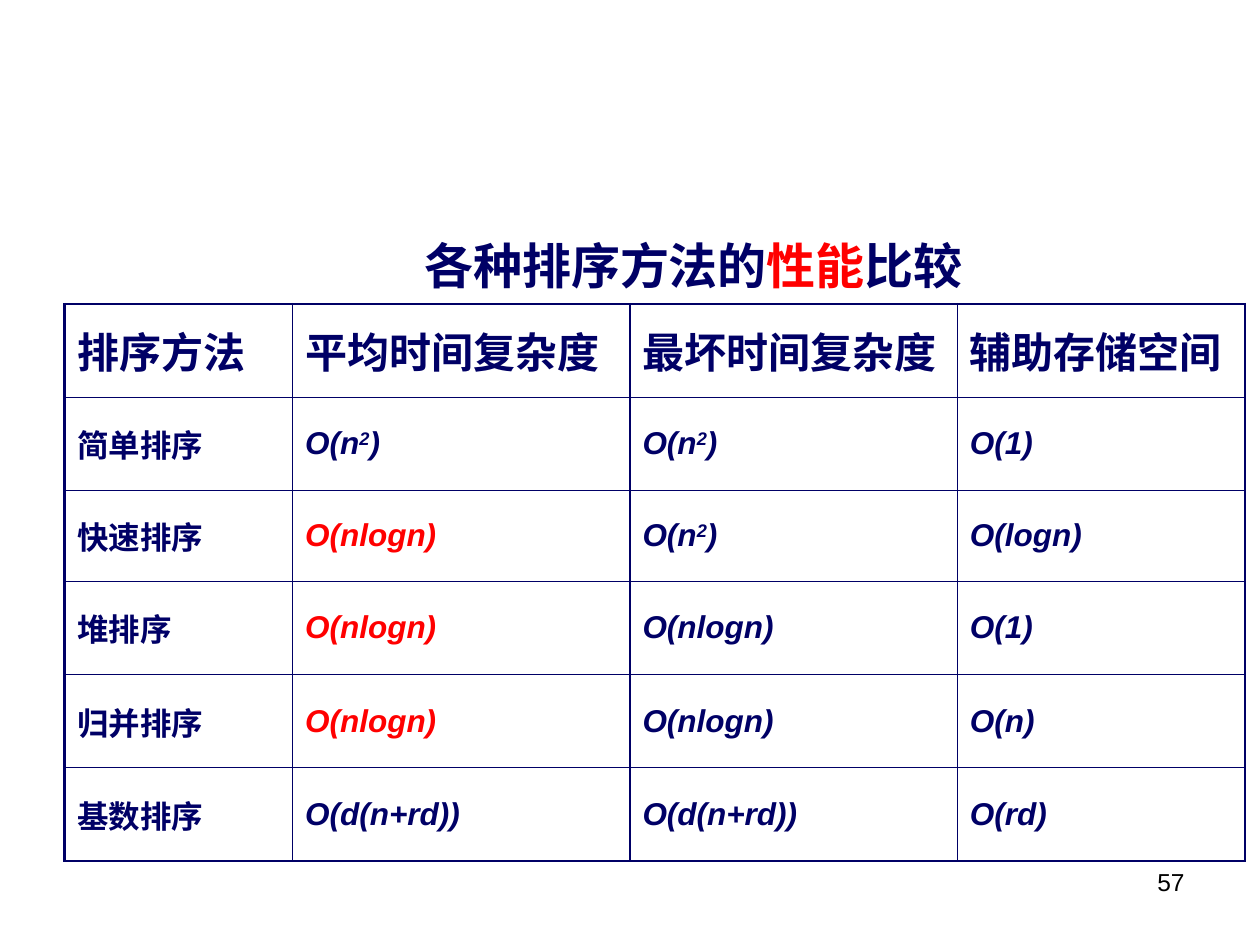
from lxml.etree import SubElement
from pptx import Presentation
from pptx.dml.color import RGBColor
from pptx.enum.text import MSO_ANCHOR as Anchor, MSO_AUTO_SIZE as AutoSize, PP_ALIGN as Align
from pptx.oxml.ns import qn
from pptx.util import Cm, Pt

NAVY = RGBColor(0x00, 0x00, 0x66)
RED = RGBColor(0xFF, 0x00, 0x00)
BLACK = RGBColor(0x00, 0x00, 0x00)
THIN, THICK = Pt(0.75), Pt(1.47)


def add_run(p, text, size, color, bold=True, italic=False):
    r = p.add_run()
    r.text = text
    r.font.name = "Arial"
    r.font.size = Pt(size)
    r.font.bold = bold
    r.font.italic = italic
    r.font.color.rgb = color
    return r


def set_borders(cell, widths):
    """Draw navy cell borders; widths are left, right, top, bottom."""
    tcPr = cell._tc.get_or_add_tcPr()
    for i, (side, width) in enumerate(zip("LRTB", widths)):
        ln = SubElement(tcPr, qn(f"a:ln{side}"), w=str(width))
        fill = SubElement(ln, qn("a:solidFill"))
        SubElement(fill, qn("a:srgbClr"), val=str(NAVY))
        tcPr.insert(i, ln)


prs = Presentation()
prs.slide_width, prs.slide_height = Cm(25.4), Cm(19.05)
s = prs.slides.add_slide(prs.slide_layouts[5])

# Title
title = s.shapes.title
title.left, title.top, title.width, title.height = Cm(8.3), Cm(4.32), Cm(12.6), Cm(1.75)
tf = title.text_frame
tf.auto_size = AutoSize.NONE
tf.vertical_anchor = Anchor.TOP
p = tf.paragraphs[0]
p.alignment = Align.LEFT
p.line_spacing = 1.25
for text, color in (("各种排序方法的", NAVY), ("性能", RED), ("比较", NAVY)):
    add_run(p, text, 28, color)

# Comparison table; ^ comes before a superscript digit
rows = [
    ("排序方法", "平均时间复杂度", "最坏时间复杂度", "辅助存储空间"),
    ("简单排序", "O(n^2)", "O(n^2)", "O(1)"),
    ("快速排序", "O(nlogn)", "O(n^2)", "O(logn)"),
    ("堆排序", "O(nlogn)", "O(nlogn)", "O(1)"),
    ("归并排序", "O(nlogn)", "O(nlogn)", "O(n)"),
    ("基数排序", "O(d(n+rd))", "O(d(n+rd))", "O(rd)"),
]
col_widths = [4.6, 6.8, 6.6, 5.8]
row_heights = [1.88, 1.88, 1.83, 1.88, 1.88, 1.88]
last_row, last_col = len(rows) - 1, len(col_widths) - 1

table = s.shapes.add_table(len(rows), len(col_widths), Cm(1.3), Cm(6.13),
                           Cm(sum(col_widths)), Cm(sum(row_heights))).table
table.horz_banding = False
table.first_row = False
for col, width in zip(table.columns, col_widths):
    col.width = Cm(width)
for row, height in zip(table.rows, row_heights):
    row.height = Cm(height)

for i, values in enumerate(rows):
    for j, value in enumerate(values):
        cell = table.cell(i, j)
        cell.fill.background()
        cell.vertical_anchor = Anchor.MIDDLE
        outer = (j == 0, j == last_col, i == 0, i == last_row)
        set_borders(cell, [THICK if edge else THIN for edge in outer])
        p = cell.text_frame.paragraphs[0]
        size = 24 if i == 0 else 18
        color = RED if j == 1 and value == "O(nlogn)" else NAVY
        italic = i > 0 and j > 0
        base, _, power = value.partition("^")
        add_run(p, base, size, color, italic=italic)
        if power:
            r = add_run(p, power[0], size, color, italic=italic)
            r.font._element.set("baseline", "30000")
            add_run(p, power[1:], size, color, italic=italic)

# Page number
sp = s.shapes.add_textbox(Cm(18.2), Cm(17.35), Cm(5.93), Cm(1.32))
tf = sp.text_frame
tf.word_wrap = True
p = tf.paragraphs[0]
p.alignment = Align.RIGHT
add_run(p, "57", 14, BLACK, bold=False)

prs.save("out.pptx")
